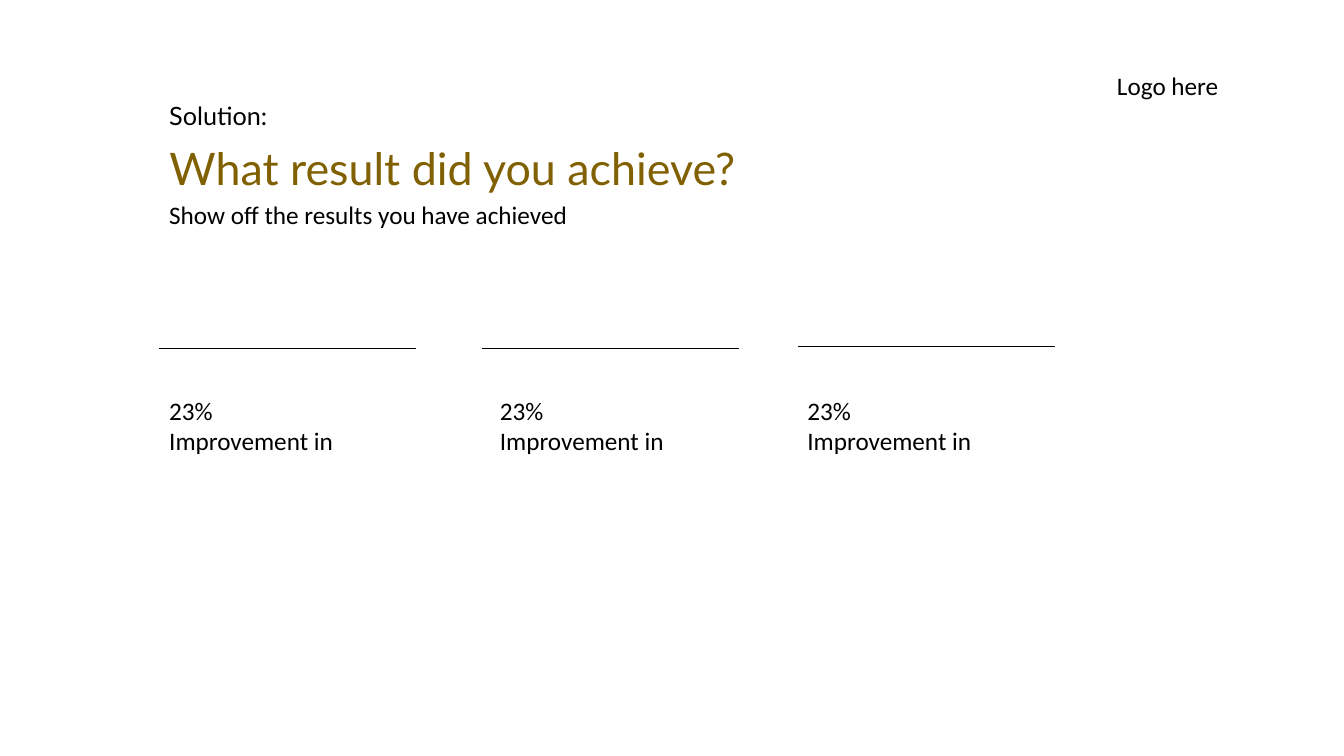
"""Build the results slide: a heading block and three ruled improvement figures."""
from lxml.etree import SubElement
from pptx import Presentation
from pptx.dml.color import RGBColor as Color
from pptx.enum.shapes import MSO_CONNECTOR as Connector
from pptx.enum.text import MSO_ANCHOR as Anchor, MSO_AUTO_SIZE as AutoSize, PP_ALIGN as Align
from pptx.oxml.ns import qn
from pptx.util import Inches, Pt

THEME = {
    "ink": Color.from_string("000000"),
    "gold": Color.from_string("806000"),
    "paper": Color.from_string("FFFFFF"),
    "heading_font": "Lato",
    "body_font": "Calibri",
    "title_size": Pt(32),
    "body_size": Pt(18),
    "rule_width": Pt(0.5),
}
MARGIN = 1.58
RULE_LENGTH = 2.55
LINE_HEIGHT = 0.4


def write(box, text, left, top, width, height, font=THEME["body_font"],
          size=THEME["body_size"], color=THEME["ink"], wrap=False):
    box.left, box.top, box.width, box.height = map(Inches, (left, top, width, height))
    frame = box.text_frame
    frame.text = text
    frame.word_wrap = wrap
    frame.auto_size = AutoSize.SHAPE_TO_FIT_TEXT
    frame.vertical_anchor = Anchor.TOP
    for para in frame.paragraphs:
        para.alignment = Align.LEFT
        for span in para.runs:
            span.font.name = font
            span.font.size = size
            span.font.color.rgb = color


deck = Presentation()
deck.slide_width, deck.slide_height = Inches(13.33), Inches(7.5)
title_only = deck.slide_layouts[5]
page = deck.slides.add_slide(title_only)
page.background.fill.solid()
page.background.fill.fore_color.rgb = THEME["paper"]

write(page.shapes.title, "What result did you achieve?", MARGIN, 1.35, 6.09, 0.64,
      font=THEME["heading_font"], size=THEME["title_size"], color=THEME["gold"])

labels = [
    ("Logo here", 10.98, 0.65, 1.97, THEME["body_font"], True),
    ("Solution:", MARGIN, 0.95, 1.23, THEME["heading_font"], False),
    ("Show off the results you have achieved", MARGIN, 1.93, 4.2, THEME["body_font"], False),
]
for text, left, top, width, font, wrap in labels:
    label = page.shapes.add_textbox(0, 0, 0, 0)
    write(label, text, left, top, width, LINE_HEIGHT, font=font, wrap=wrap)

results = [(MARGIN, 3.46, MARGIN), (4.78, 3.46, 4.86), (7.91, 3.44, 7.91)]
for rule_left, rule_top, text_left in results:
    rule = page.shapes.add_connector(
        Connector.STRAIGHT, Inches(rule_left), Inches(rule_top),
        Inches(rule_left + RULE_LENGTH), Inches(rule_top))
    rule.line.color.rgb = THEME["ink"]
    rule.line.width = THEME["rule_width"]
    SubElement(rule.element.spPr, qn("a:effectLst"))
    figure = page.shapes.add_textbox(0, 0, 0, 0)
    write(figure, "23%\nImprovement in", text_left, 3.87, 1.85, 0.71)

deck.save("out.pptx")
